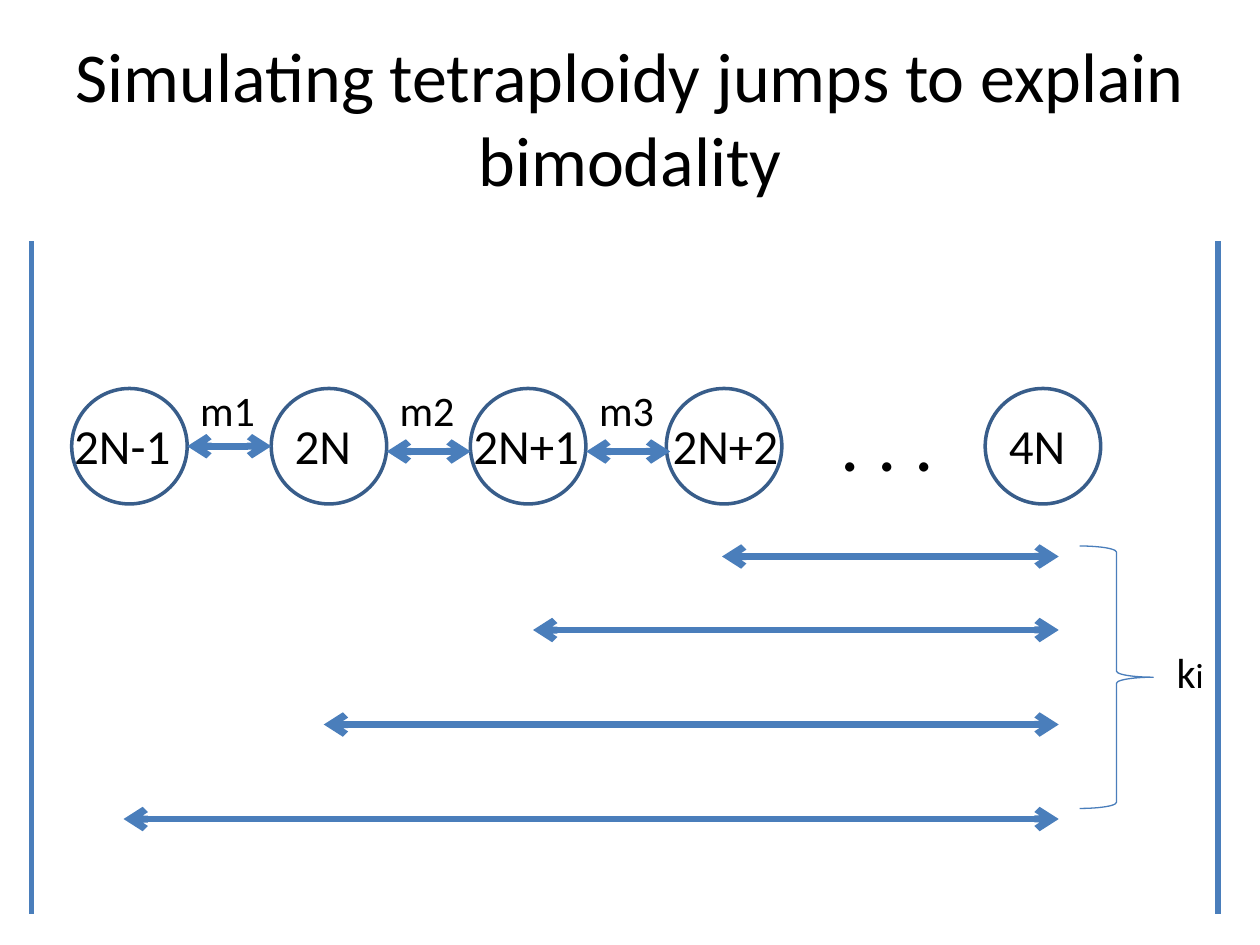
import pptx
import pptx.util
import pptx.dml.color
import pptx.enum.shapes
import pptx.enum.text
import pptx.oxml.ns
from lxml import etree

Pt = pptx.util.Pt
SHAPE = pptx.enum.shapes.MSO_SHAPE
ALIGN = pptx.enum.text.PP_ALIGN
ANCHOR = pptx.enum.text.MSO_ANCHOR
AUTO = pptx.enum.text.MSO_AUTO_SIZE
COLORS = {"text": "000000", "circle": "385D8A", "line": "4A7EBB"}
CIRCLE = 66


def color(name):
    """Return the named colour."""
    return pptx.dml.color.RGBColor.from_string(COLORS[name])


def add_text(slide, box, text, size, title=False):
    """Add a text box, wrapped and centred when it is the title."""
    sp = slide.shapes.add_textbox(*map(Pt, box))
    tf = sp.text_frame
    tf.word_wrap = title
    tf.auto_size = AUTO.NONE if title else AUTO.SHAPE_TO_FIT_TEXT
    tf.vertical_anchor = ANCHOR.MIDDLE if title else ANCHOR.TOP
    p = tf.paragraphs[0]
    p.text = text
    p.alignment = ALIGN.CENTER if title else ALIGN.LEFT
    p.font.name = "Calibri"
    p.font.size = Pt(size)
    p.font.color.rgb = color("text")
    return p


def add_outline(slide, kind, box, line, width):
    """Add an unfilled preset shape."""
    sp = slide.shapes.add_shape(kind, *map(Pt, box))
    sp.shadow.inherit = False
    sp.fill.background()
    sp.line.color.rgb = color(line)
    sp.line.width = Pt(width)


def add_line(slide, x1, y1, x2, y2, width, arrows=False):
    """Add a straight line, optionally with arrowheads at both ends."""
    qn = pptx.oxml.ns.qn
    cxn = slide.shapes.add_connector(
        pptx.enum.shapes.MSO_CONNECTOR.STRAIGHT, Pt(x1), Pt(y1), Pt(x2), Pt(y2))
    cxn.line.color.rgb = color("line")
    cxn.line.width = Pt(width)
    if arrows:
        ln = cxn.line._get_or_add_ln()
        for end in ("a:headEnd", "a:tailEnd"):
            etree.SubElement(ln, qn(end), type="arrow")
    etree.SubElement(cxn._element.spPr, qn("a:effectLst"))


def main():
    """Build the slide."""
    prs = pptx.Presentation()
    prs.slide_width, prs.slide_height = Pt(720), Pt(540)
    slide = prs.slides.add_slide(prs.slide_layouts[6])

    add_text(slide, (36, 21.6, 648, 90),
             "Simulating tetraploidy jumps to explain bimodality", 40, title=True)

    states = [("2N-1", 41, 35.3, 70.5), ("2N", 155, 161.3, 47), ("2N+1", 268.8, 263.5, 75),
              ("2N+2", 380.8, 377.3, 75), ("4N", 563, 569.5, 47)]
    for label, x, text_x, width in states:
        add_outline(slide, SHAPE.OVAL, (x, 222, CIRCLE, CIRCLE), "circle", 2)
        add_text(slide, (text_x, 234, width, 41), label, 28)
    add_text(slide, (473.4, 222, 68, 60.5), ". . .", 44)

    for i, y in enumerate((255, 258, 258)):
        x = 107 + 114 * i
        add_line(slide, x, y, x + 48, y, 4, arrows=True)
        add_text(slide, (x + 0.3, 216, 46.5, 36), f"m{i + 1}", 24)

    for x, y in ((412.6, 318), (304.6, 360), (185, 414), (70.6, 468)):
        add_line(slide, x, y, 605, y, 4, arrows=True)
    add_outline(slide, SHAPE.RIGHT_BRACE, (617, 312, 42, 150), "line", 0.75)
    p = add_text(slide, (665.3, 366, 31, 36), "k", 24)
    r = p.add_run()
    r.text = "i"
    r.font.size = Pt(20)

    for x in (18, 696):
        add_line(slide, x, 138, x, 522, 3)

    prs.save("out.pptx")


if __name__ == "__main__":
    main()
